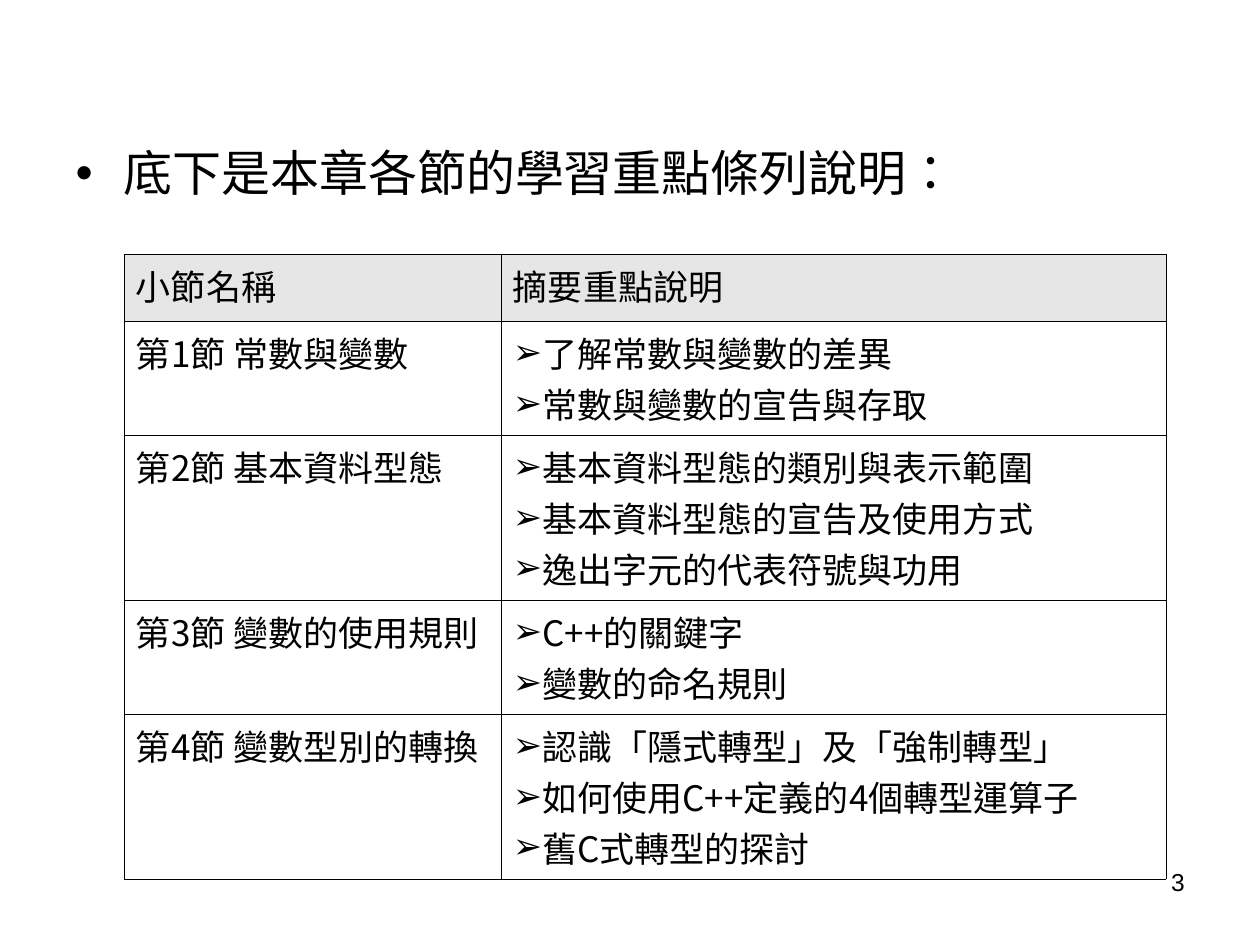
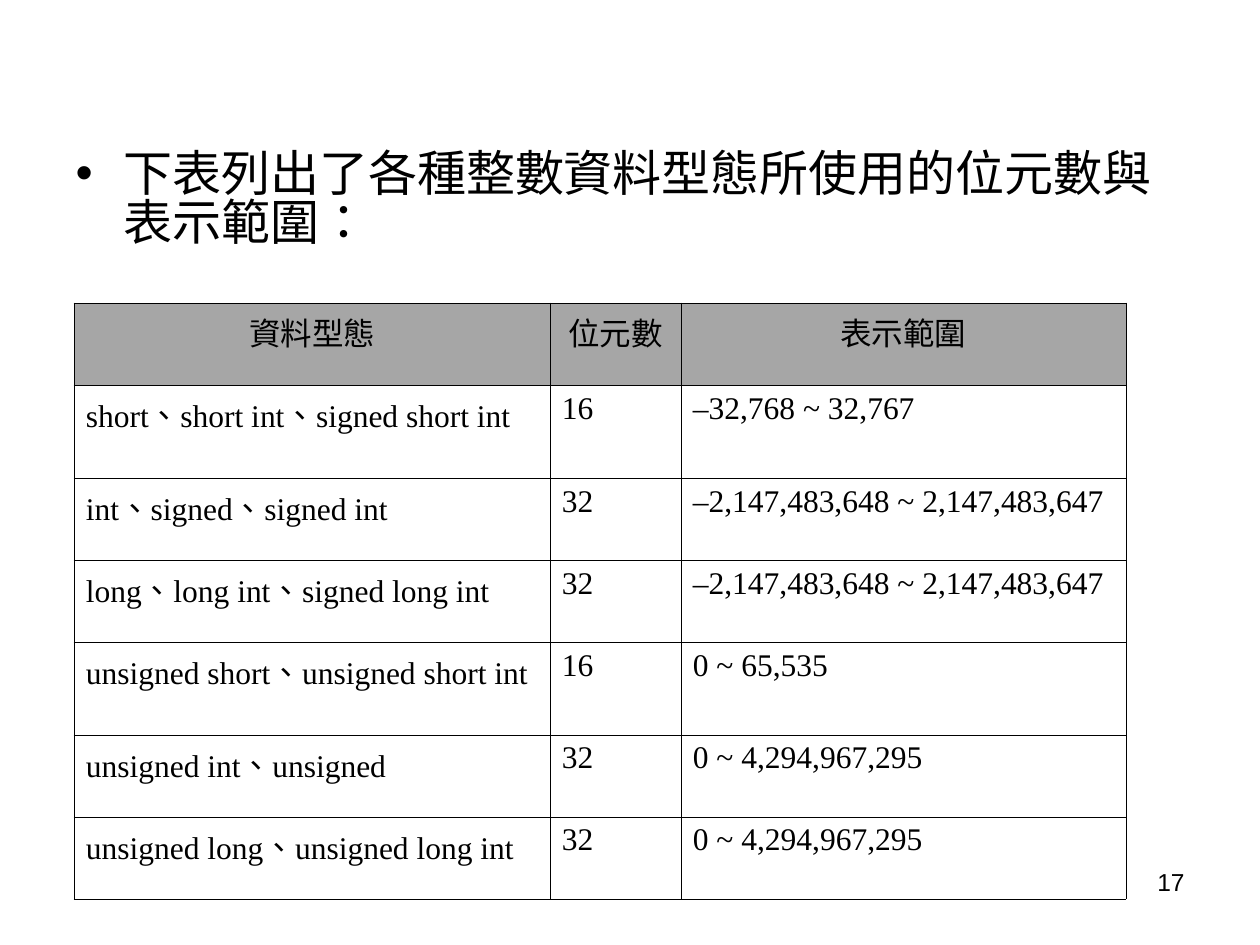
from lxml.etree import SubElement
from pptx import Presentation
from pptx.dml.color import RGBColor
from pptx.enum.text import MSO_ANCHOR, MSO_AUTO_SIZE, PP_ALIGN as AL
from pptx.oxml.ns import qn
from pptx.util import Emu, Pt

COLORS = {"ink": "000000", "light_head": "E6E6E6", "dark_head": "A6A6A6"}
SANS, SERIF, CJK = "Arial", "Times New Roman", "Noto Sans CJK SC"
PAGE_BOX = (903, 861, 294, 66)

SECTIONS = [
    ("小節名稱", "摘要重點說明"),
    ("第1節 常數與變數", ["了解常數與變數的差異", "常數與變數的宣告與存取"]),
    ("第2節 基本資料型態", ["基本資料型態的類別與表示範圍",
                     "基本資料型態的宣告及使用方式",
                     "逸出字元的代表符號與功用"]),
    ("第3節 變數的使用規則", ["C++的關鍵字", "變數的命名規則"]),
    ("第4節 變數型別的轉換", ["認識「隱式轉型」及「強制轉型」",
                      "如何使用C++定義的4個轉型運算子",
                      "舊C式轉型的探討"]),
]
INT_TYPES = [
    ("資料型態", "位元數", "表示範圍"),
    ("short、short int、signed short int", "16", "–32,768 ~ 32,767"),
    ("int、signed、signed int", "32", "–2,147,483,648 ~ 2,147,483,647"),
    ("long、long int、signed long int", "32", "–2,147,483,648 ~ 2,147,483,647"),
    ("unsigned short、unsigned short int", "16", "0 ~ 65,535"),
    ("unsigned int、unsigned", "32", "0 ~ 4,294,967,295"),
    ("unsigned long、unsigned long int", "32", "0 ~ 4,294,967,295"),
]


def px(n):
    return Emu(round(n * 914400 / 126))


def rgb(name):
    return RGBColor.from_string(COLORS[name])


def add_run(p, text, size, font):
    r = p.add_run()
    r.text = text
    r.font.size, r.font.name = Pt(size), font
    r.font.color.rgb = rgb("ink")
    rPr = r.font._element
    rPr.set("lang", "zh-TW")
    SubElement(rPr, qn("a:ea"), typeface=CJK)


def add_bullet(p, char, hang=0):
    pPr = p._p.get_or_add_pPr()
    pPr.set("marL", str(px(hang)))
    pPr.set("indent", str(-px(hang)))
    color = SubElement(pPr, qn("a:buClr"))
    SubElement(color, qn("a:srgbClr"), val=COLORS["ink"])
    SubElement(pPr, qn("a:buFont"), typeface=SANS)
    SubElement(pPr, qn("a:buChar"), char=char)


def add_borders(cell):
    tcPr = cell._tc.get_or_add_tcPr()
    for i, side in enumerate(("lnL", "lnR", "lnT", "lnB")):
        ln = tcPr.makeelement(qn(f"a:{side}"), {"w": str(Pt(0.45))})
        fill = SubElement(ln, qn("a:solidFill"))
        SubElement(fill, qn("a:srgbClr"), val=COLORS["ink"])
        tcPr.insert(i, ln)


def fill_cell(cell, content, size, font, align):
    """Write a string as plain text, or a list as arrow bullets."""
    tf = cell.text_frame
    bulleted = isinstance(content, list)
    for i, text in enumerate(content if bulleted else [content]):
        p = tf.add_paragraph() if i else tf.paragraphs[0]
        p.alignment = align
        if bulleted:
            add_bullet(p, "➢")
        add_run(p, text, size, font)


def add_grid(s, left, top, cols, heights, rows, size, font, head, head_align):
    frame = s.shapes.add_table(len(rows), len(cols), px(left), px(top),
                               px(sum(cols)), px(sum(heights)))
    table = frame.table
    table.first_row = table.horz_banding = False
    for col, width in zip(table.columns, cols):
        col.width = px(width)
    for i, (row, height, contents) in enumerate(zip(table.rows, heights, rows)):
        row.height = px(height)
        for cell, content in zip(row.cells, contents):
            cell.margin_left = cell.margin_right = px(12)
            cell.margin_top = cell.margin_bottom = px(6)
            cell.vertical_anchor = MSO_ANCHOR.TOP
            if i == 0:
                cell.fill.solid()
                cell.fill.fore_color.rgb = rgb(head)
            else:
                cell.fill.background()
            add_borders(cell)
            fill_cell(cell, content, size, font, AL.LEFT if i else head_align)


def add_page_number(s, number):
    tf = s.shapes.add_textbox(*map(px, PAGE_BOX)).text_frame
    tf.word_wrap = True
    p = tf.paragraphs[0]
    p.alignment = AL.RIGHT
    add_run(p, str(number), 14, SANS)


def add_lead_slide(prs, lead, lead_width, number):
    """Add a slide with a bulleted lead sentence and a page number."""
    s = prs.slides.add_slide(prs.slide_layouts[1])
    title, body = s.placeholders
    title._element.getparent().remove(title._element)
    body.left, body.top, body.width, body.height = map(px, (63, 147, lead_width, 693))
    tf = body.text_frame
    tf.auto_size = MSO_AUTO_SIZE.NONE
    p = tf.paragraphs[0]
    p.line_spacing, p.space_before = 0.82, Pt(0)
    add_bullet(p, "•", 48)
    add_run(p, lead, 28, SANS)
    add_page_number(s, number)
    return s


def main():
    prs = Presentation()
    prs.slide_width, prs.slide_height = px(1260), px(945)

    s = add_lead_slide(prs, "底下是本章各節的學習重點條列說明：", 1092, 3)
    add_grid(s, 124, 254, (377, 665), (67, 114, 165, 114, 165), SECTIONS,
             20, CJK, "light_head", AL.LEFT)

    s = add_lead_slide(prs, "下表列出了各種整數資料型態所使用的位元數與表示範圍：", 1113, 17)
    one_line, two_lines = 82, 93
    heights = [one_line, two_lines, one_line] * 2 + [one_line]
    heights[3:5] = one_line, two_lines
    add_grid(s, 74, 303, (476, 131, 445), heights, INT_TYPES,
             18, SERIF, "dark_head", AL.CENTER)

    prs.save("out.pptx")


if __name__ == "__main__":
    main()
